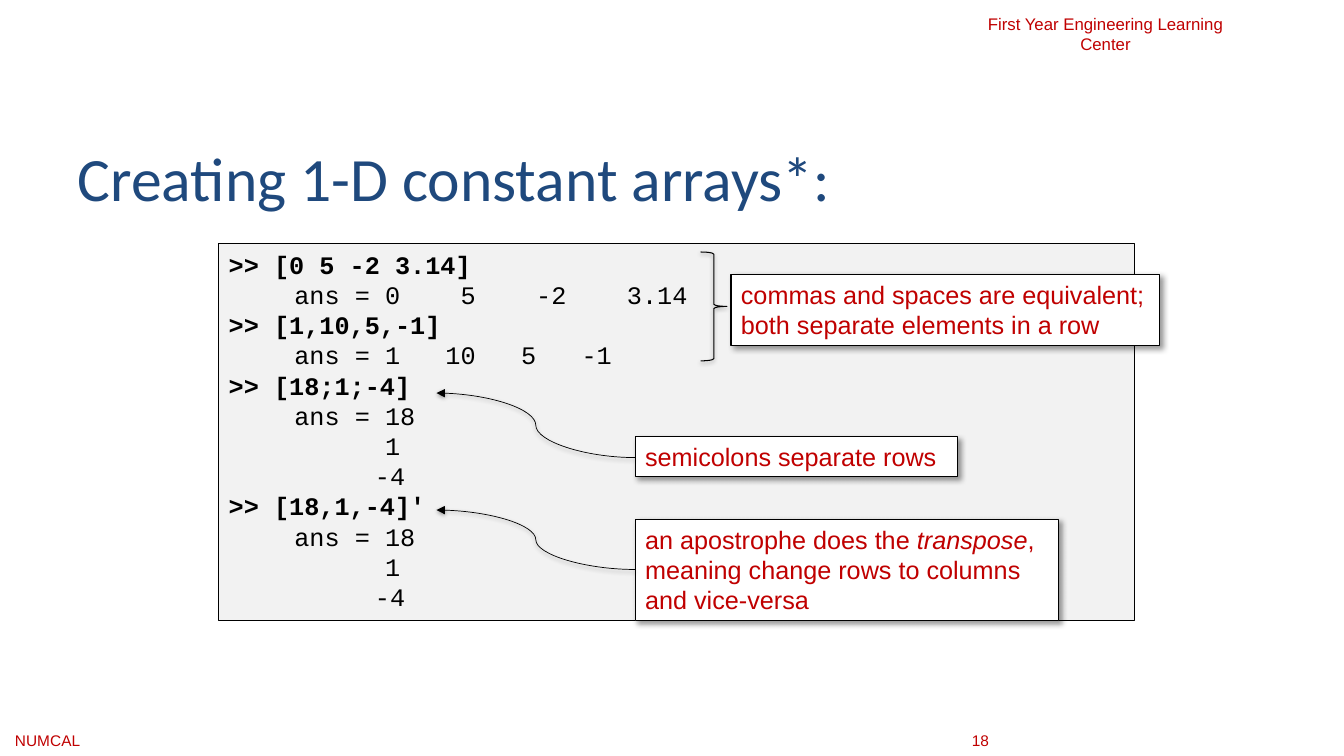
from dataclasses import dataclass

from lxml import etree
from pptx import Presentation
from pptx.dml.color import RGBColor
from pptx.enum import shapes, text
from pptx.oxml import ns
from pptx.util import Inches, Pt


@dataclass(frozen=True)
class Theme:
    red: str = "C00000"
    navy: str = "1F497D"
    black: str = "000000"
    white: str = "FFFFFF"
    panel: str = "F2F2F2"
    sans: str = "Arial"
    heading: str = "Calibri"
    mono: str = "Courier New"
    title_size: float = 44
    body_size: float = 18
    header_size: float = 12
    footer_size: float = 11


@dataclass(frozen=True)
class Box:
    left: float
    top: float
    width: float
    height: float

    def lengths(self) -> tuple:
        return tuple(Inches(n) for n in (self.left, self.top, self.width, self.height))


@dataclass(frozen=True)
class CodeLine:
    """One console line; each tab jumps to the next stop, in inches."""
    content: str
    stops: tuple = ()


@dataclass(frozen=True)
class Callout:
    box: Box
    runs: tuple  # (text, italic) pairs


@dataclass(frozen=True)
class Arrow:
    start: tuple
    end: tuple


@dataclass(frozen=True)
class Shadow:
    """Lengths in points, opacity in percent, angle in degrees."""
    opacity: int
    blur: float
    distance: float
    angle: int


THEME = Theme()
CALLOUT_SHADOW = Shadow(40, 4, 3, 45)
LINE_SHADOW = Shadow(38, 3.1, 1.6, 90)

ANSWER, FIRST_VALUE, NEGATIVE_VALUE = 0.65, 1.55, 1.45
COLUMN_RESULT = (
    CodeLine("\tans = 18", (ANSWER,)),
    CodeLine("\t1", (FIRST_VALUE,)),
    CodeLine("\t-4", (NEGATIVE_VALUE,)),
)
CODE = (
    CodeLine(">> [0 5 -2 3.14]"),
    CodeLine("\tans = 0\t5\t-2\t3.14", (ANSWER, 2.3, 3.05, 3.95)),
    CodeLine(">> [1,10,5,-1]"),
    CodeLine("\tans = 1\t10\t5\t-1", (ANSWER, 2.15, 2.9, 3.5)),
    CodeLine(">> [18;1;-4]"),
    *COLUMN_RESULT,
    CodeLine(">> [18,1,-4]'"),
    *COLUMN_RESULT,
)
CALLOUTS = (
    Callout(Box(7.25, 2.72, 4.25, 0.71),
            (("commas and spaces are equivalent; both separate elements in a row", False),)),
    Callout(Box(6.3, 5.15, 4.2, 1.01),
            (("an apostrophe does the ", False), ("transpose", True),
             (", meaning change rows to columns and vice-versa", False))),
    Callout(Box(6.3, 4.33, 3.2, 0.4), (("semicolons separate rows", False),)),
)
ARROWS = (
    Arrow((6.3, 5.65), (4.33, 5.06)),
    Arrow((6.3, 4.54), (4.33, 3.9)),
)


def add_text(paragraph, content: str, *, size: float = THEME.body_size, font: str = THEME.sans,
             color: str = THEME.red, bold: bool = False, italic: bool = False) -> None:
    run = paragraph.add_run()
    run.text = content
    run.font.size = Pt(size)
    run.font.name = font
    run.font.color.rgb = RGBColor.from_string(color)
    run.font.bold = bold
    run.font.italic = italic


def set_tab_stops(paragraph, stops: tuple) -> None:
    tab_list = etree.SubElement(paragraph._p.get_or_add_pPr(), ns.qn("a:tabLst"))
    for stop in stops:
        etree.SubElement(tab_list, ns.qn("a:tab"), pos=str(Inches(stop)), algn="l")


def set_shadow(shape, shadow: Shadow) -> None:
    properties = shape._element.spPr
    effects = properties.find(ns.qn("a:effectLst"))
    if effects is None:
        effects = etree.SubElement(properties, ns.qn("a:effectLst"))
    outer = etree.SubElement(
        effects, ns.qn("a:outerShdw"), blurRad=str(Pt(shadow.blur)), dist=str(Pt(shadow.distance)),
        dir=str(shadow.angle * 60000), algn="tl", rotWithShape="0")
    color = etree.SubElement(outer, ns.qn("a:srgbClr"), val=THEME.black)
    etree.SubElement(color, ns.qn("a:alpha"), val=str(shadow.opacity * 1000))


def add_outlined_shape(slide, kind, box: Box, fill: str | None = None):
    shape = slide.shapes.add_shape(kind, *box.lengths())
    shape.shadow.inherit = False
    if fill:
        shape.fill.solid()
        shape.fill.fore_color.rgb = RGBColor.from_string(fill)
    else:
        shape.fill.background()
    shape.line.color.rgb = RGBColor.from_string(THEME.black)
    shape.line.width = Pt(0.75)
    frame = shape.text_frame
    frame.word_wrap = True
    frame.vertical_anchor = text.MSO_ANCHOR.TOP
    frame.paragraphs[0].alignment = text.PP_ALIGN.LEFT
    return shape


def add_caption(slide, box: Box, content: str, size: float):
    frame = slide.shapes.add_textbox(*box.lengths()).text_frame
    frame.word_wrap = True
    add_text(frame.paragraphs[0], content, size=size)
    return frame.paragraphs[0]


def add_title(slide, box: Box, content: str) -> None:
    title = slide.shapes.title
    title.left, title.top, title.width, title.height = box.lengths()
    title.text_frame.auto_size = text.MSO_AUTO_SIZE.NONE
    title.text_frame.vertical_anchor = text.MSO_ANCHOR.MIDDLE
    paragraph = title.text_frame.paragraphs[0]
    paragraph.alignment = text.PP_ALIGN.LEFT
    add_text(paragraph, content, size=THEME.title_size, font=THEME.heading, color=THEME.navy)


def add_code_panel(slide, box: Box) -> None:
    frame = add_outlined_shape(slide, shapes.MSO_SHAPE.RECTANGLE, box, THEME.panel).text_frame
    for index, line in enumerate(CODE):
        paragraph = frame.add_paragraph() if index else frame.paragraphs[0]
        paragraph.alignment = text.PP_ALIGN.LEFT
        if line.stops:
            set_tab_stops(paragraph, line.stops)
        add_text(paragraph, line.content, font=THEME.mono, color=THEME.black,
                 bold=line.content.startswith(">>"))


def add_callout(slide, callout: Callout) -> None:
    shape = add_outlined_shape(slide, shapes.MSO_SHAPE.RECTANGLE, callout.box, THEME.white)
    set_shadow(shape, CALLOUT_SHADOW)
    for content, italic in callout.runs:
        add_text(shape.text_frame.paragraphs[0], content, italic=italic)


def add_arrow(slide, arrow: Arrow) -> None:
    ends = (Inches(n) for n in (*arrow.start, *arrow.end))
    connector = slide.shapes.add_connector(shapes.MSO_CONNECTOR.CURVE, *ends)
    connector.line.color.rgb = RGBColor.from_string(THEME.black)
    connector.line.width = Pt(0.5)
    outline = connector._element.spPr.find(ns.qn("a:ln"))
    etree.SubElement(outline, ns.qn("a:tailEnd"), type="triangle")
    set_shadow(connector, LINE_SHADOW)


def main() -> None:
    presentation = Presentation()
    presentation.slide_width, presentation.slide_height = Inches(13.33), Inches(7.5)
    slide = presentation.slides.add_slide(presentation.slide_layouts.get_by_name("Title Only"))

    footer = add_caption(slide, Box(0.05, 7.2, 13.11, 0.29), "NUMCAL\t18", THEME.footer_size)
    set_tab_stops(footer, (9.49,))
    header = add_caption(slide, Box(9.56, 0.09, 2.81, 0.5),
                         "First Year Engineering Learning Center", THEME.header_size)
    header.alignment = text.PP_ALIGN.CENTER

    add_title(slide, Box(0.67, 1.3, 12, 0.9), "Creating 1-D constant arrays*:")
    add_code_panel(slide, Box(2.17, 2.42, 9.08, 3.74))
    for callout in CALLOUTS:
        add_callout(slide, callout)
    for arrow in ARROWS:
        add_arrow(slide, arrow)
    brace = add_outlined_shape(slide, shapes.MSO_SHAPE.RIGHT_BRACE, Box(6.95, 2.5, 0.26, 1.08))
    set_shadow(brace, LINE_SHADOW)

    presentation.save("out.pptx")


if __name__ == "__main__":
    main()
